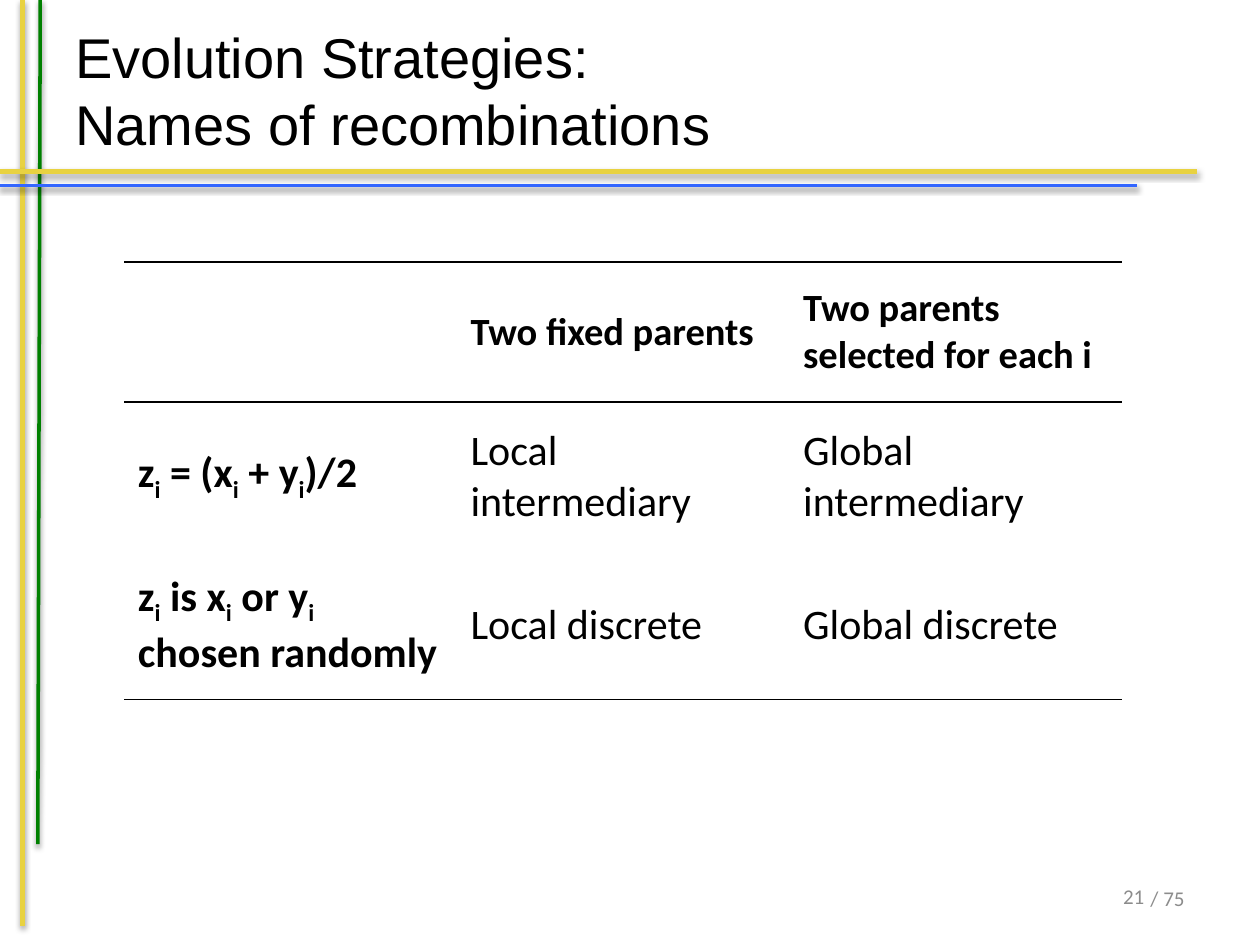
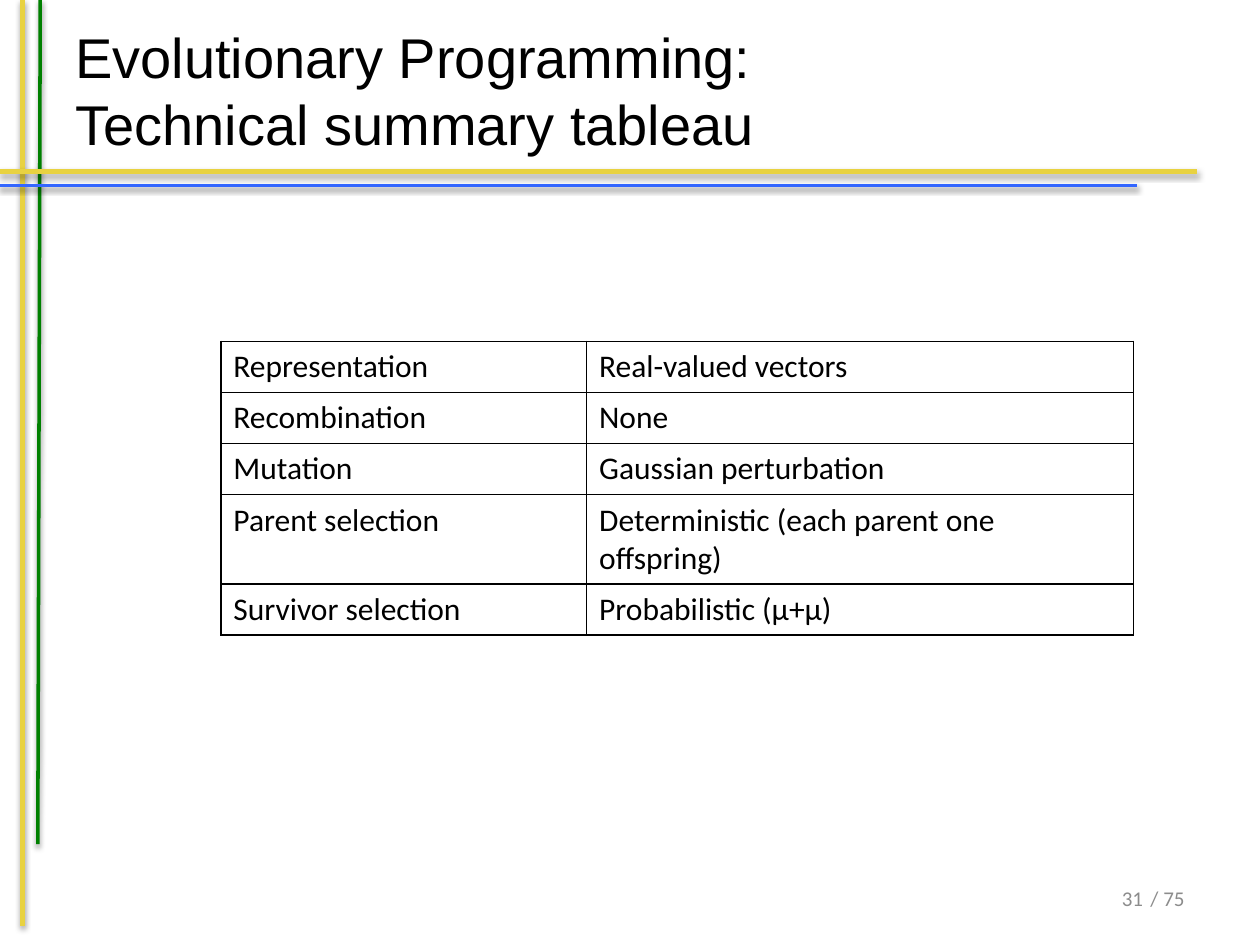
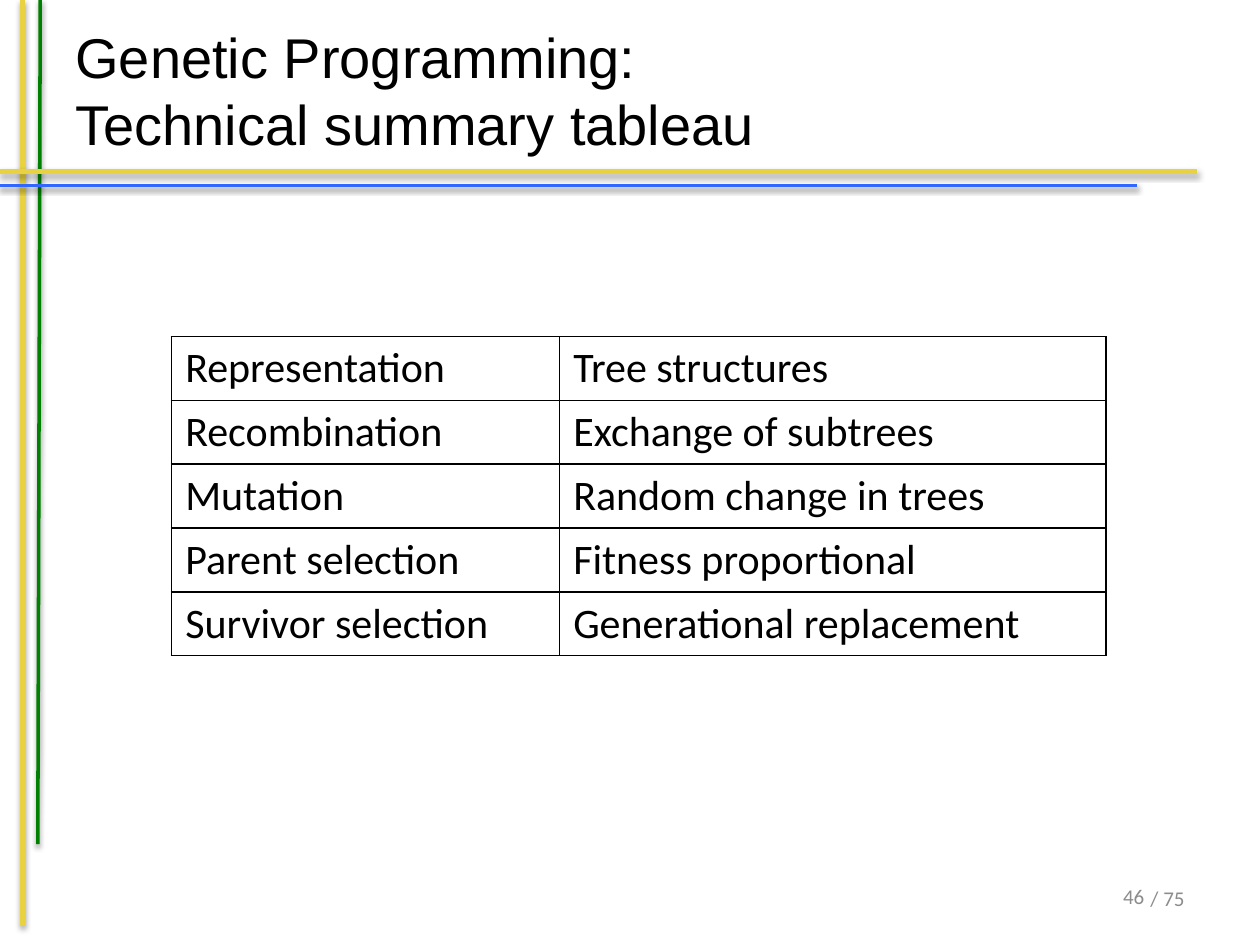
from dataclasses import dataclass

from lxml import etree
from pptx import Presentation
from pptx import util as u
from pptx.dml.color import RGBColor
from pptx.enum import shapes, text
from pptx.oxml import ns

Pt = u.Pt


@dataclass(frozen=True)
class Theme:
    black: str = "000000"
    gold: str = "E8D241"
    green: str = "008000"
    blue: str = "3366FF"
    gray: str = "8C8C8C"
    head: str = "Arial"
    body: str = "Calibri"
    title: int = 32
    large: int = 24
    label: int = 22
    small: int = 18
    foot: int = 12


T = Theme()
PAGES = 75
BARS = [
    (13, 0, 13, 529, T.gold, 3),
    (23, 0, 21.6, 482.4, T.green, 2),
    (0, 98, 684, 98, T.gold, 3),
    (0, 106, 650, 106, T.blue, 2),
]
TRAITS = ["Representation", "Recombination", "Mutation",
          "Parent selection", "Survivor selection"]


def node(parent, tag, **attrs):
    return etree.SubElement(parent, ns.qn(tag), attrs)


def style(para, size, color=T.black, face=T.body, bold=False):
    font = para.font
    font.size, font.name, font.bold = Pt(size), face, bold
    font.color.rgb = RGBColor.from_string(color)


def bar(slide, x1, y1, x2, y2, color, width):
    line = slide.shapes.add_connector(
        shapes.MSO_CONNECTOR.STRAIGHT, Pt(x1), Pt(y1), Pt(x2), Pt(y2))
    line.line.color.rgb = RGBColor.from_string(color)
    line.line.width = Pt(width)
    effects = node(line._element.spPr, "a:effectLst")
    shade = node(effects, "a:outerShdw", blurRad=str(Pt(3.1)), dist=str(Pt(1.6)),
                 dir="5400000", rotWithShape="0")
    tint = node(shade, "a:srgbClr", val=T.black)
    node(tint, "a:alpha", val="38000")


def label(slide, box, words, size, color, face=T.body, right=False, wrap=True):
    frame = slide.shapes.add_textbox(*map(Pt, box)).text_frame
    frame.word_wrap = wrap
    frame.vertical_anchor = text.MSO_ANCHOR.MIDDLE
    para = frame.paragraphs[0]
    para.text = words
    if right:
        para.alignment = text.PP_ALIGN.RIGHT
    style(para, size, color, face)
    return frame


def base(deck, title, page, spot):
    slide = deck.slides.add_slide(deck.slide_layouts[6])
    for item in BARS:
        bar(slide, *item)
    total = label(slide, (649.4, 502.6, 34.6, 21.6), f"/ {PAGES}",
                  T.foot, T.gray, right=True, wrap=False)
    total.vertical_anchor = text.MSO_ANCHOR.TOP
    total.auto_size = text.MSO_AUTO_SIZE.SHAPE_TO_FIT_TEXT
    head = label(slide, (36, 6.5, 648, 90), title, T.title, T.black, T.head)
    head.paragraphs[0].line_spacing = Pt(38.3)
    label(slide, spot, str(page), T.foot, T.gray, right=True)
    return slide


def edges(cell, sides):
    props = cell._tc.get_or_add_tcPr()
    for side in "LRTB":
        line = node(props, f"a:ln{side}", w=str(Pt(1)))
        if side in sides:
            node(node(line, "a:solidFill"), "a:srgbClr", val=T.black)
        else:
            node(line, "a:noFill")
    cell.fill.background()


def write(para, words):
    first, *rest = words.split("_")
    para.add_run().text = first
    for part in rest:
        sub = para.add_run()
        sub.text = part[0]
        sub._r.get_or_add_rPr().set("baseline", "-25000")
        if part[1:]:
            para.add_run().text = part[1:]


def grid(slide, left, top, cols, heights, rows, size, pad=7.2, ruled=False):
    shape = slide.shapes.add_table(
        len(rows), len(cols), Pt(left), Pt(top), Pt(sum(cols)), Pt(sum(heights)))
    table = shape.table
    table.first_row = table.horz_banding = False
    for col, width in zip(table.columns, cols):
        col.width = Pt(width)
    for row, height in zip(table.rows, heights):
        row.height = Pt(height)
    for r, row in enumerate(rows):
        for c, words in enumerate(row):
            cell = table.cell(r, c)
            cell.margin_left = cell.margin_right = Pt(pad)
            sides = "LRTB"
            if ruled:
                cell.vertical_anchor = text.MSO_ANCHOR.MIDDLE
                sides = {0: "TB", 1: "T", len(rows) - 1: "B"}[r]
            edges(cell, sides)
            para = cell.text_frame.paragraphs[0]
            if words:
                write(para, words)
            top_row = ruled and r == 0
            style(para, T.label if top_row else size,
                  bold=top_row or (ruled and c == 0))


def main():
    deck = Presentation()
    deck.slide_width, deck.slide_height = Pt(720), Pt(540)
    wide, tight = (586.8, 492.5, 74.2, 39.6), (600.5, 499, 59.8, 28.8)

    slide = base(deck, "Evolution Strategies:\nNames of recombinations", 21, wide)
    grid(slide, 70.9, 149.8, [190.1] * 3, [80, 85, 85], [
        ["", "Two fixed parents", "Two parents selected for each i"],
        ["z_i = (x_i + y_i)/2", "Local intermediary", "Global intermediary"],
        ["z_i is x_i or y_i chosen randomly", "Local discrete", "Global discrete"],
    ], T.large, pad=7.9, ruled=True)

    slide = base(deck, "Evolutionary Programming:\nTechnical summary tableau", 31, tight)
    values = ["Real-valued vectors", "None", "Gaussian perturbation",
              "Deterministic (each parent one offspring)", "Probabilistic (μ+μ)"]
    grid(slide, 126.2, 195.1, [209, 312.5], [29.2, 29.2, 29.2, 51.1, 29.2],
         list(zip(TRAITS, values)), T.small)

    slide = base(deck, "Genetic Programming:\nTechnical summary tableau", 46, wide)
    values = ["Tree structures", "Exchange of subtrees", "Random change in trees",
              "Fitness proportional", "Generational replacement"]
    grid(slide, 98, 192.3, [221.7, 312.2], [36.5] * 5,
         list(zip(TRAITS, values)), T.large, pad=7.9)

    deck.save("out.pptx")


if __name__ == "__main__":
    main()
